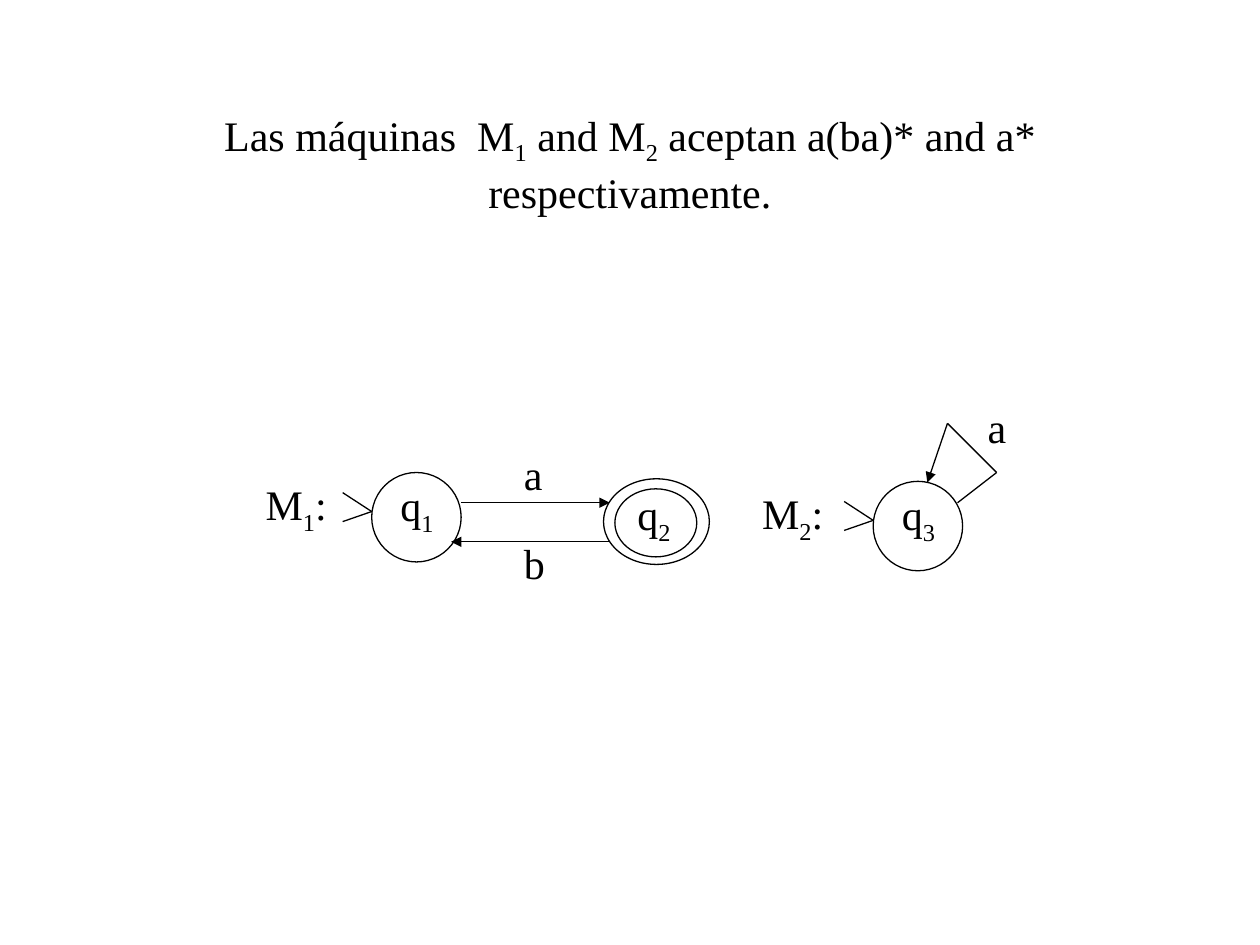
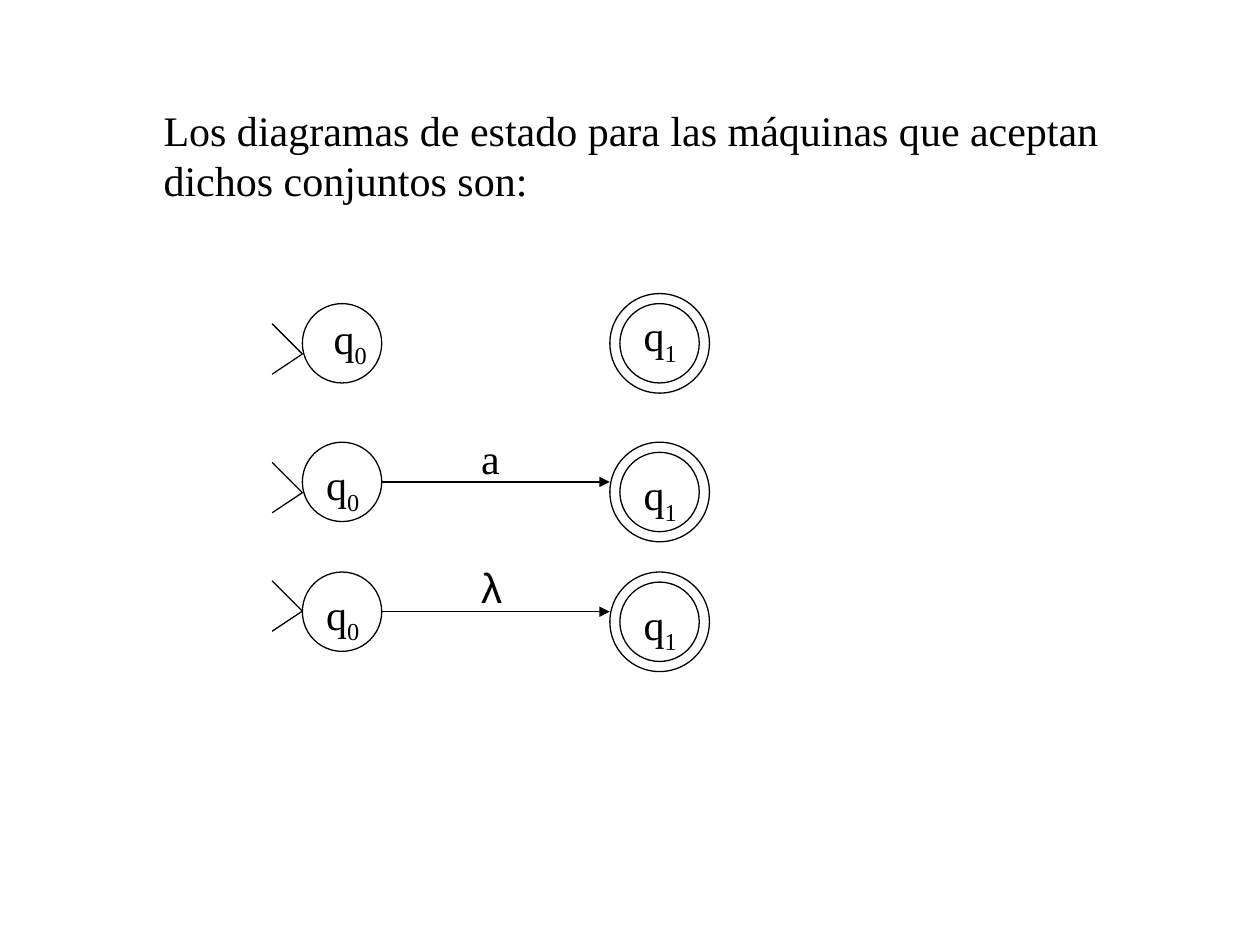
from lxml import etree
from pptx import Presentation
from pptx.dml.color import RGBColor
from pptx.enum.shapes import MSO_CONNECTOR as Connector, MSO_SHAPE as Shape
from pptx.enum.text import MSO_ANCHOR as Anchor, MSO_AUTO_SIZE as AutoSize, PP_ALIGN as Align
from pptx.oxml.ns import qn
from pptx.util import Inches, Pt

COLORS = {"ink": "000000"}
INK = RGBColor.from_string(COLORS["ink"])
FONT = "Times New Roman"
SYMBOL_FONT = "Arial"
TEXT_SIZE = Pt(24)
LINE_WIDTH = Pt(0.75)


def add_text(shapes, box, parts, font=FONT, wrap=False, align=Align.LEFT, anchor=Anchor.TOP):
    """Every second item of parts is a subscript."""
    frame = shapes.add_textbox(*map(Inches, box)).text_frame
    frame.word_wrap = wrap
    frame.auto_size = AutoSize.NONE if anchor == Anchor.MIDDLE else AutoSize.SHAPE_TO_FIT_TEXT
    frame.vertical_anchor = anchor
    paragraph = frame.paragraphs[0]
    paragraph.alignment = align
    for index, part in enumerate(parts):
        run = paragraph.add_run()
        run.text = part
        run.font.name = font
        run.font.size = TEXT_SIZE
        run.font.color.rgb = INK
        if index % 2:
            run.font._element.set("baseline", "-25000")


def add_ellipse(shapes, left, top, width, height):
    shape = shapes.add_shape(Shape.OVAL, *map(Inches, (left, top, width, height)))
    shape.shadow.inherit = False
    shape.fill.background()
    shape.line.color.rgb = INK
    shape.line.width = LINE_WIDTH


def add_line(shapes, start, end, arrow=False):
    connector = shapes.add_connector(Connector.STRAIGHT, *map(Inches, (*start, *end)))
    connector.line.color.rgb = INK
    connector.line.width = LINE_WIDTH
    if arrow:
        etree.SubElement(connector.line._get_or_add_ln(), qn("a:tailEnd"), type="triangle")
    etree.SubElement(connector._element.spPr, qn("a:effectLst"))


def add_state_name(shapes, left, top, number):
    add_text(shapes, (left, top, 0.46, 0.56), ("q", number))


def add_symbol(shapes, left, top, symbol, font=FONT):
    add_text(shapes, (left, top, 0.36, 0.5), (symbol,), font)


def add_start_mark(shapes, left, tip, rise, drop, reach):
    for shift in (-rise, drop):
        add_line(shapes, (left - reach, tip + shift), (left, tip))


def add_named_start(shapes, left, top, machine, state, label_gap):
    diameter = 0.71
    add_text(shapes, (left - label_gap, top, 0.72, 0.56), ("M", machine, ":"))
    add_ellipse(shapes, left, top, diameter, diameter)
    add_start_mark(shapes, left, top + 0.31, 0.15, 0.08, 0.23)
    add_state_name(shapes, left + 0.13, top + 0.01, state)


def add_first_machine(slide, left, top):
    shapes = slide.shapes
    add_named_start(shapes, left, top, "1", "1", 0.94)
    final_state = shapes.add_group_shape().shapes
    add_ellipse(final_state, left + 1.84, top + 0.05, 0.84, 0.68)
    add_ellipse(final_state, left + 1.93, top + 0.13, 0.65, 0.54)
    add_state_name(final_state, left + 2.01, top + 0.08, "2")
    add_line(shapes, (left + 0.71, top + 0.24), (left + 1.89, top + 0.24), arrow=True)
    add_line(shapes, (left + 1.89, top + 0.55), (left + 0.63, top + 0.55), arrow=True)
    for symbol, offset in (("a", -0.24), ("b", 0.47)):
        add_symbol(shapes, left + 1.11, top + offset, symbol)


def add_second_machine(slide, left, top):
    shapes = slide.shapes
    add_named_start(shapes, left, top, "2", "3", 0.98)
    loop = [(left + x, top + y) for x, y in ((0.67, 0.17), (0.98, -0.07), (0.59, -0.46), (0.43, 0.01))]
    for start, end in zip(loop, loop[1:]):
        add_line(shapes, start, end, arrow=end == loop[-1])
    add_symbol(shapes, left + 0.81, top - 0.68, "a")


def add_basic_machine(slide, left, start_top, final_top, tip, start_name, final_name,
                      symbol=None, font=FONT):
    shapes = slide.shapes
    inner, outer = 0.63, 0.79
    ring = (outer - inner) / 2
    final_left = left + 2.44
    add_ellipse(shapes, left, start_top, inner, inner)
    add_ellipse(shapes, final_left + ring, final_top + ring, inner, inner)
    add_ellipse(shapes, final_left, final_top, outer, outer)
    add_start_mark(shapes, left, start_top + tip, 0.24, 0.16, 0.24)
    add_state_name(shapes, left + start_name[0], start_top + start_name[1], "0")
    add_state_name(shapes, final_left + 0.17, final_top + final_name, "1")
    if symbol:
        middle = start_top + inner / 2
        add_line(shapes, (left + inner, middle), (final_left, middle), arrow=True)
        add_symbol(shapes, left + 1.32, start_top - 0.13, symbol, font)


def build_accepting_slide(slide):
    parts = ("Las máquinas  M", "1", " and M", "2", " aceptan a(ba)* and a* respectivamente.")
    add_text(slide.shapes, (0.75, 0.67, 8.5, 1.25), parts, wrap=True,
             align=Align.CENTER, anchor=Anchor.MIDDLE)
    add_first_machine(slide, 2.95, 3.75)
    add_second_machine(slide, 6.93, 3.82)


def build_diagram_slide(slide):
    sentence = "Los diagramas de estado para las máquinas que aceptan dichos conjuntos son:"
    add_text(slide.shapes, (1.2, 0.78, 8.13, 0.9), (sentence,), wrap=True)
    left = 2.4
    add_basic_machine(slide, left, 2.41, 2.33, 0.4, (0.15, 0.02), 0.08)
    add_basic_machine(slide, left, 3.51, 3.51, 0.4, (0.09, 0.08), 0.16, "a")
    add_basic_machine(slide, left, 4.54, 4.54, 0.31, (0.09, 0.08), 0.16, "λ", SYMBOL_FONT)


def main():
    presentation = Presentation()
    presentation.slide_width = Inches(10)
    presentation.slide_height = Inches(7.5)
    blank_layout = presentation.slide_layouts[6]
    for build in (build_accepting_slide, build_diagram_slide):
        build(presentation.slides.add_slide(blank_layout))
    presentation.save("out.pptx")


if __name__ == "__main__":
    main()
